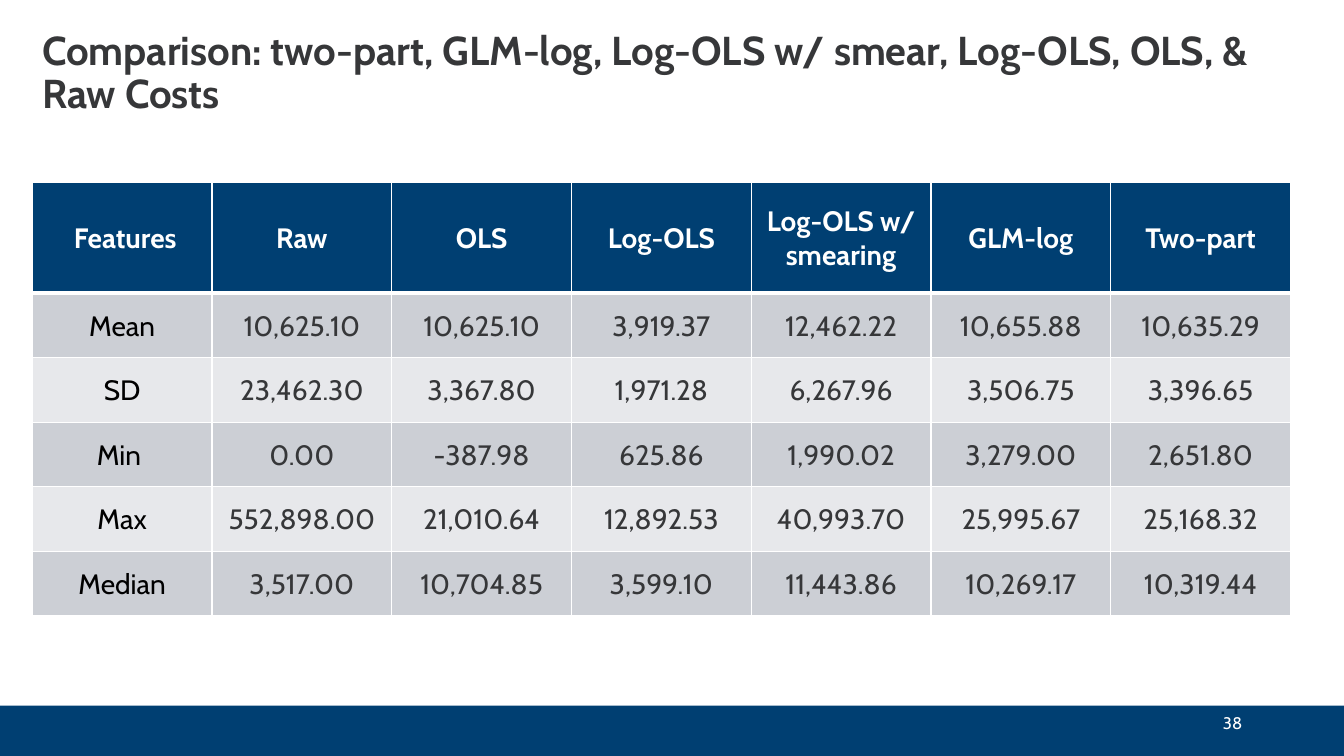
from lxml import etree
from pptx import Presentation
from pptx.dml.color import RGBColor
from pptx.enum.shapes import MSO_SHAPE
from pptx.enum.text import MSO_ANCHOR, PP_ALIGN
from pptx.oxml.ns import qn
from pptx.util import Inches, Pt

RECT = MSO_SHAPE.RECTANGLE
MIDDLE = MSO_ANCHOR.MIDDLE
LEFT, CENTER, RIGHT = PP_ALIGN.LEFT, PP_ALIGN.CENTER, PP_ALIGN.RIGHT

NAVY = RGBColor(0x00, 0x3F, 0x72)
WHITE = RGBColor(0xFF, 0xFF, 0xFF)
BLACK = RGBColor(0x00, 0x00, 0x00)
CHARCOAL = RGBColor(0x36, 0x37, 0x39)
BANDS = (RGBColor(0xCC, 0xCF, 0xD5), RGBColor(0xE7, 0xE8, 0xEB))

FONT = "Cabin"
TITLE = {"size": Pt(28.8), "bold": True}
HEADER = {"size": Pt(20), "bold": True}
BODY = {"size": Pt(20), "bold": False}
PAGE_NUMBER = {"size": Pt(12), "bold": False}
CELL_FORMAT = {
    "vertical_anchor": MIDDLE,
    "margin_left": Inches(0.01),
    "margin_top": Inches(0.01),
    "margin_right": Inches(0.01),
    "margin_bottom": 0,
}

COL_WIDTH = 12.48 / 7
HEADER_HEIGHT, ROW_HEIGHT = 1.1, 0.64
COSTS = [
    [" Features", "Raw", "OLS", "Log-OLS", "Log-OLS w/ smearing", "GLM-log", "Two-part"],
    ["Mean", "10,625.10", "10,625.10", "3,919.37", "12,462.22", "10,655.88", "10,635.29"],
    ["SD", "23,462.30", "3,367.80", "1,971.28", "6,267.96", "3,506.75", "3,396.65"],
    ["Min ", "0.00", "-387.98", "625.86", "1,990.02", "3,279.00", "2,651.80"],
    ["Max", "552,898.00", "21,010.64", "12,892.53", "40,993.70", "25,995.67", "25,168.32"],
    ["Median", "3,517.00", "10,704.85", "3,599.10", "11,443.86", "10,269.17", "10,319.44"],
]


def write(tf, text, color, align, font_format):
    p = tf.paragraphs[0]
    p.alignment = align
    r = p.add_run()
    r.text = text
    r.font.name = FONT
    r.font.color.rgb = color
    for name, value in font_format.items():
        setattr(r.font, name, value)
    return p


def add_text(s, box, text, color, align, font_format):
    tf = s.shapes.add_textbox(*map(Inches, box)).text_frame
    tf.word_wrap = True
    tf.vertical_anchor = MIDDLE
    return write(tf, text, color, align, font_format)


def add_footer_bar(s):
    bar = s.shapes.add_shape(RECT, 0, Inches(7), Inches(13.33), Inches(0.5))
    bar.shadow.inherit = False
    bar.fill.solid()
    bar.fill.fore_color.rgb = NAVY
    bar.line.fill.background()


def set_borders(cell, widths):
    """Draw white cell borders; widths maps each side to points, in schema order."""
    tc_pr = cell._tc.get_or_add_tcPr()
    for i, (side, width) in enumerate(widths.items()):
        ln = etree.Element(qn(f"a:ln{side}"), w=str(Pt(width)))
        fill = etree.SubElement(ln, qn("a:solidFill"))
        etree.SubElement(fill, qn("a:srgbClr"), val=str(WHITE))
        tc_pr.insert(i, ln)


def format_cell(cell, row, col, text):
    if row == 0:
        fill, color, font_format = NAVY, WHITE, HEADER
    else:
        fill = BANDS[(row - 1) % 2]
        color = BLACK if col == 0 else CHARCOAL
        font_format = BODY
    for name, value in CELL_FORMAT.items():
        setattr(cell, name, value)
    cell.fill.solid()
    cell.fill.fore_color.rgb = fill
    write(cell.text_frame, text, color, CENTER, font_format)
    # A thicker rule separates the header from the body
    set_borders(cell, {"L": 1, "R": 1, "T": 3 if row == 1 else 1, "B": 3 if row == 0 else 1})


def add_cost_table(s):
    rows, cols = len(COSTS), len(COSTS[0])
    height = HEADER_HEIGHT + ROW_HEIGHT * (rows - 1)
    table = s.shapes.add_table(rows, cols, Inches(0.32), Inches(1.81),
                               Inches(COL_WIDTH * cols), Inches(height)).table
    for column in table.columns:
        column.width = Inches(COL_WIDTH)
    for row, values in enumerate(COSTS):
        table.rows[row].height = Inches(ROW_HEIGHT if row else HEADER_HEIGHT)
        for col, text in enumerate(values):
            format_cell(table.cell(row, col), row, col, text)


def main():
    prs = Presentation()
    prs.slide_width, prs.slide_height = Inches(13.33), Inches(7.5)
    s = prs.slides.add_slide(prs.slide_layouts[6])

    # Footer bar and page number
    add_footer_bar(s)
    add_text(s, (9.42, 7, 3, 0.35), "38", WHITE, RIGHT, PAGE_NUMBER)

    # Title
    p = add_text(s, (0.32, 0.32, 12.71, 0.83),
                 "Comparison: two-part, GLM-log, Log-OLS w/ smear, Log-OLS, OLS, & Raw Costs",
                 CHARCOAL, LEFT, TITLE)
    p.line_spacing = 0.9

    # Model comparison
    add_cost_table(s)
    prs.save("out.pptx")


if __name__ == "__main__":
    main()
